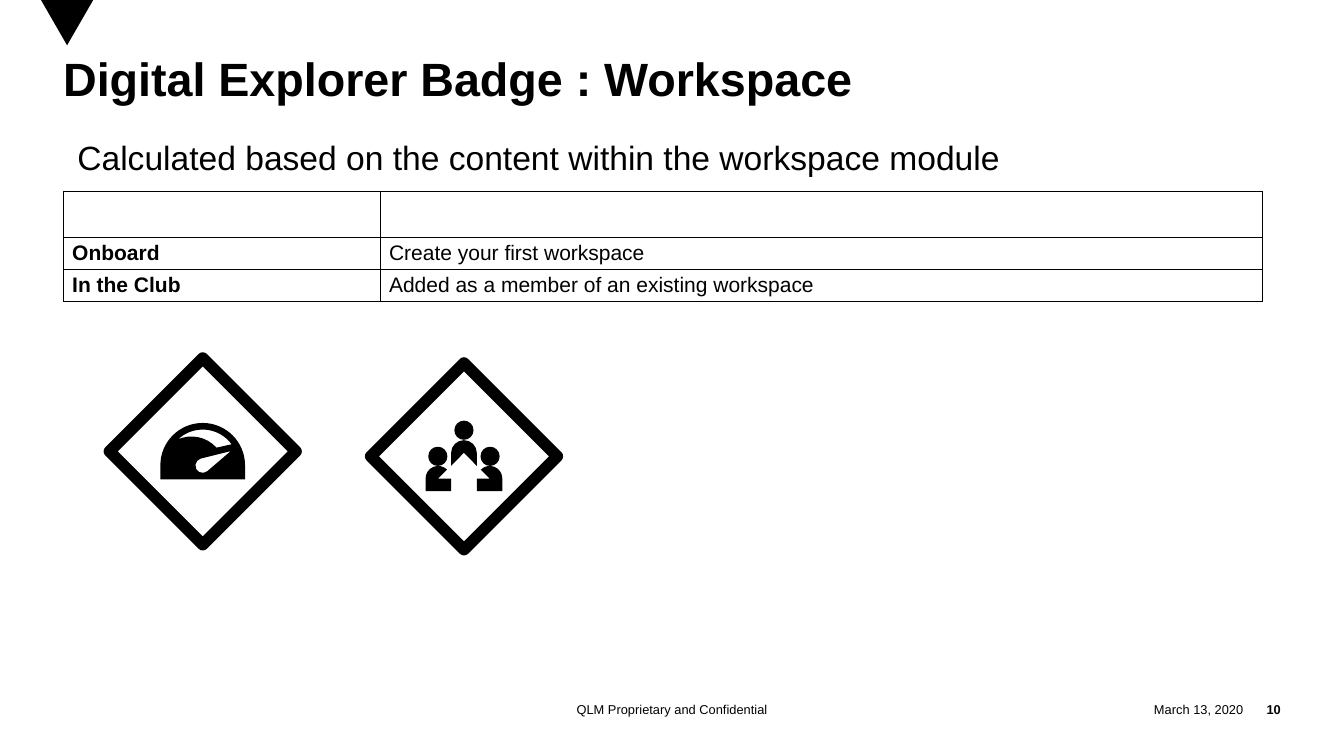
from dataclasses import dataclass
from math import ceil, cos, radians, sin, tan

from lxml import etree
from pptx import Presentation
from pptx.dml.color import RGBColor
from pptx.enum.shapes import MSO_SHAPE
from pptx.enum.text import MSO_ANCHOR, PP_ALIGN
from pptx.oxml.ns import qn
from pptx.util import Cm, Pt

LEFT, CENTER, RIGHT = PP_ALIGN.LEFT, PP_ALIGN.CENTER, PP_ALIGN.RIGHT
TOP, MIDDLE = MSO_ANCHOR.TOP, MSO_ANCHOR.MIDDLE
RECTANGLE = MSO_SHAPE.RECTANGLE

Point = tuple[float, float]
Segment = tuple[Point, ...]  # one point for a line, three for a curve
Contour = list[Segment]


@dataclass(frozen=True)
class Theme:
    font: str = "Arial"
    ink: RGBColor = RGBColor(0, 0, 0)
    paper: RGBColor = RGBColor(255, 255, 255)
    title: float = 40
    subtitle: float = 28.8
    table: float = 18
    footer: float = 11
    table_line: float = 1
    badge_line: float = 10


@dataclass(frozen=True)
class Label:
    text: str
    left: float
    top: float
    width: float
    height: float
    size: float
    bold: bool = False
    align: PP_ALIGN = LEFT
    anchor: MSO_ANCHOR = TOP
    inset: Point = (0, 0)
    spacing: float = 1.0


@dataclass(frozen=True)
class Badge:
    x: float
    y: float
    icon: list[Contour]  # offsets from the badge centre, in cm


THEME = Theme()
FOOTER_TOP, FOOTER_HEIGHT = 21.06, 0.76
BADGE_SIDE = 3.99


def lines(*points: Point) -> Contour:
    return [(point,) for point in points]


def arc(x: float, y: float, radius: float, start: int, end: int) -> Contour:
    """A line to the start of the arc, then one curve per quarter turn."""
    count = ceil(abs(end - start) / 90)
    step = radians(end - start) / count
    pull = 4 / 3 * tan(step / 4)

    def at(angle: float, pull: float = 0) -> Point:
        return (x + radius * (cos(angle) - pull * sin(angle)),
                y + radius * (sin(angle) + pull * cos(angle)))

    angles = [radians(start) + i * step for i in range(count + 1)]
    curves = [(at(a, pull), at(b, -pull), at(b)) for a, b in zip(angles, angles[1:])]
    return lines(at(angles[0])) + curves


def mirror(contour: Contour) -> Contour:
    return [tuple((-x, y) for x, y in segment) for segment in contour]


def style_font(p, size: float, bold: bool) -> None:
    font = p.font
    font.name, font.size, font.bold = THEME.font, Pt(size), bold
    font.color.rgb = THEME.ink


def add_label(s, label: Label) -> None:
    box = s.shapes.add_textbox(
        Cm(label.left), Cm(label.top), Cm(label.width), Cm(label.height))
    tf = box.text_frame
    tf.word_wrap = True
    tf.vertical_anchor = label.anchor
    tf.margin_left = tf.margin_right = Cm(label.inset[0])
    tf.margin_top = tf.margin_bottom = Cm(label.inset[1])
    p = tf.paragraphs[0]
    p.text, p.alignment, p.line_spacing = label.text, label.align, label.spacing
    style_font(p, label.size, label.bold)


def add_outline(s, contours: list[Contour], x: float = 0, y: float = 0) -> None:
    placed = [[(Cm(x + dx), Cm(y + dy)) for segment in c for dx, dy in segment]
              for c in contours]
    builder = s.shapes.build_freeform(*placed[0][0])
    for i, points in enumerate(placed):
        if i:
            builder.move_to(*points[0])
        builder.add_line_segments(points[1:], close=True)
    sp = builder.convert_to_shape()
    # Join the three points of each curve into one curve element
    steps = iter(list(sp._element.iter(qn("a:lnTo"))))
    for segment in (segment for c in contours for segment in c[1:]):
        first, *rest = [next(steps) for _ in segment]
        if rest:
            first.tag = qn("a:cubicBezTo")
            for step in rest:
                first.append(step[0])
                step.getparent().remove(step)
    sp.shadow.inherit = False
    sp.fill.solid()
    sp.fill.fore_color.rgb = THEME.ink
    sp.line.fill.background()


def add_badge(s, badge: Badge) -> None:
    half = BADGE_SIDE / 2
    sp = s.shapes.add_shape(
        RECTANGLE, Cm(badge.x - half), Cm(badge.y - half), Cm(BADGE_SIDE), Cm(BADGE_SIDE))
    sp.rotation = 45
    sp.shadow.inherit = False
    sp.fill.solid()
    sp.fill.fore_color.rgb = THEME.paper
    sp.line.color.rgb = THEME.ink
    sp.line.width = Pt(THEME.badge_line)
    add_outline(s, badge.icon, badge.x, badge.y)


def add_cell_borders(cell) -> None:
    props = cell._tc.get_or_add_tcPr()
    for i, side in enumerate(("lnL", "lnR", "lnT", "lnB")):
        ln = etree.Element(qn(f"a:{side}"), w=str(Pt(THEME.table_line)))
        fill = etree.SubElement(ln, qn("a:solidFill"))
        etree.SubElement(fill, qn("a:srgbClr"), val=str(THEME.ink))
        props.insert(i, ln)


def add_badge_table(s, rows: list[tuple[str, str]]) -> None:
    widths, heights = (9.58, 26.66), (1.39, 0.97, 0.97)
    table = s.shapes.add_table(
        len(rows), len(widths), Cm(1.93), Cm(5.79), Cm(sum(widths)), Cm(sum(heights))).table
    for column, width in zip(table.columns, widths):
        column.width = Cm(width)
    for row, height, texts in zip(table.rows, heights, rows):
        row.height = Cm(height)
        for i, (cell, text) in enumerate(zip(row.cells, texts)):
            cell.margin_bottom = Cm(0.06)
            cell.fill.solid()
            cell.fill.fore_color.rgb = THEME.paper
            add_cell_borders(cell)
            p = cell.text_frame.paragraphs[0]
            p.text = text
            style_font(p, THEME.table, bold=i == 0)


# Icons
GAUGE = [
    arc(0, 0.42, 1.28, 180, 360) + lines((1.28, 0.85), (-1.28, 0.85)),
    lines((0.85, -0.01)) + arc(0, 0.43, 0.22, 254, 50),
    arc(0, 0.42, 1.08, -36, -135) + arc(-0.34, 0.57, 1.02, -115, -42),
]
SIDE_HEAD = arc(-0.79, 0, 0.29, 0, 360)
SIDE_BODY = arc(-0.78, 0.67, 0.38, -45, -180) + lines(
    (-1.16, 1.05), (-0.39, 1.05), (-0.39, 0.67), (-0.78, 0.67))
MEMBERS = [
    arc(0, -0.79, 0.29, 0, 360),
    arc(0, -0.1, 0.39, 180, 360) + lines((0.39, 0.29), (0, -0.11), (-0.39, 0.29)),
    SIDE_HEAD, SIDE_BODY, mirror(SIDE_HEAD), mirror(SIDE_BODY),
]

# Content
MARKER = lines((1.24, 0), (2.03, 1.37), (2.82, 0))
LABELS = [
    Label("March 13, 2020", 33.05, FOOTER_TOP, 4.55, FOOTER_HEIGHT, THEME.footer,
          align=RIGHT, anchor=MIDDLE),
    Label("10", 37.59, FOOTER_TOP, 1.14, FOOTER_HEIGHT, THEME.footer, True, RIGHT, MIDDLE),
    Label("QLM Proprietary and Confidential", 13.34, FOOTER_TOP, 13.97, FOOTER_HEIGHT,
          THEME.footer, align=CENTER, anchor=MIDDLE),
    Label("Digital Explorer Badge : Workspace", 1.91, 1.78, 36.83, 3.94, THEME.title,
          True, spacing=0.85),
    Label("Calculated based on the content within the workspace module",
          2.09, 4.01, 28.65, 1.5, THEME.subtitle, inset=(0.25, 0.13)),
]
ROWS = [("", ""), ("Onboard", "Create your first workspace"),
        ("In the Club", "Added as a member of an existing workspace")]
BADGES = [Badge(6.13, 13.65, GAUGE), Badge(14.03, 13.8, MEMBERS)]

# Slide
prs = Presentation()
prs.slide_width, prs.slide_height = Cm(40.64), Cm(22.86)
s = prs.slides.add_slide(prs.slide_layouts[6])
add_outline(s, [MARKER])
for label in LABELS:
    add_label(s, label)
add_badge_table(s, ROWS)
for badge in BADGES:
    add_badge(s, badge)
prs.save("out.pptx")
